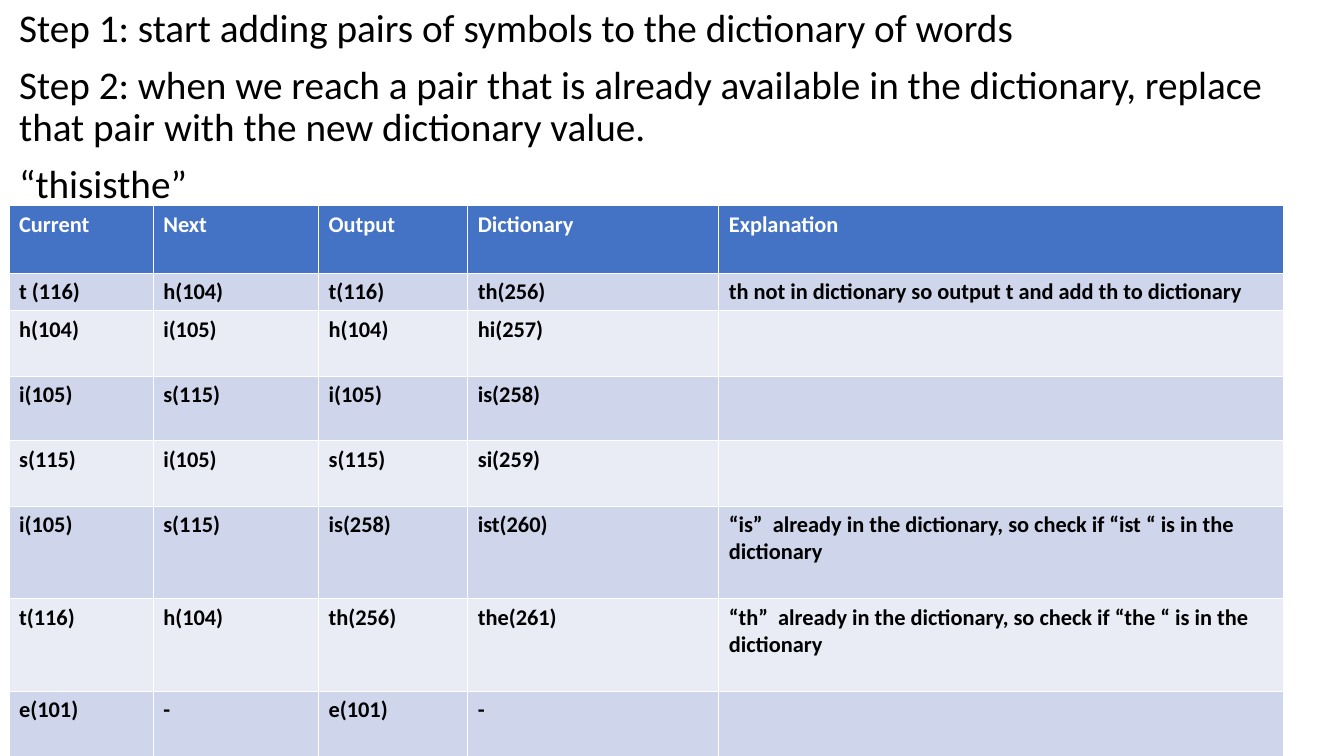
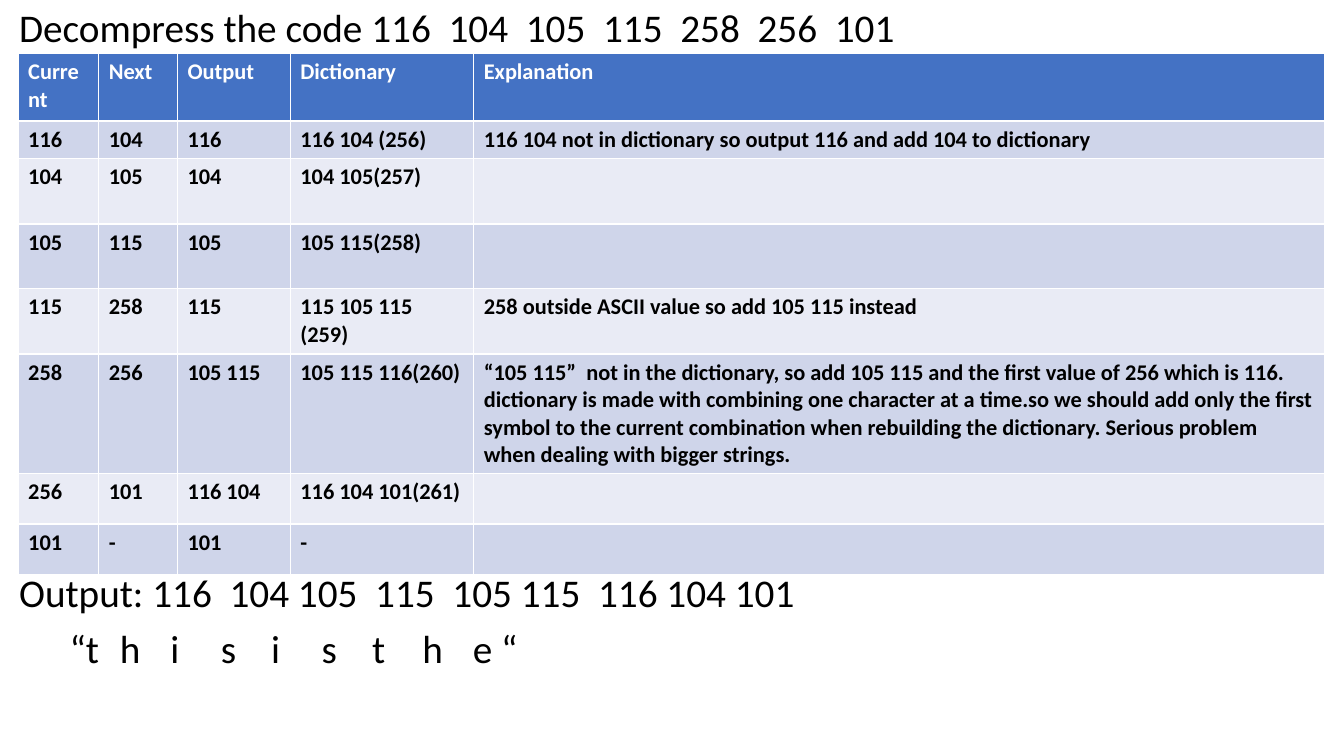
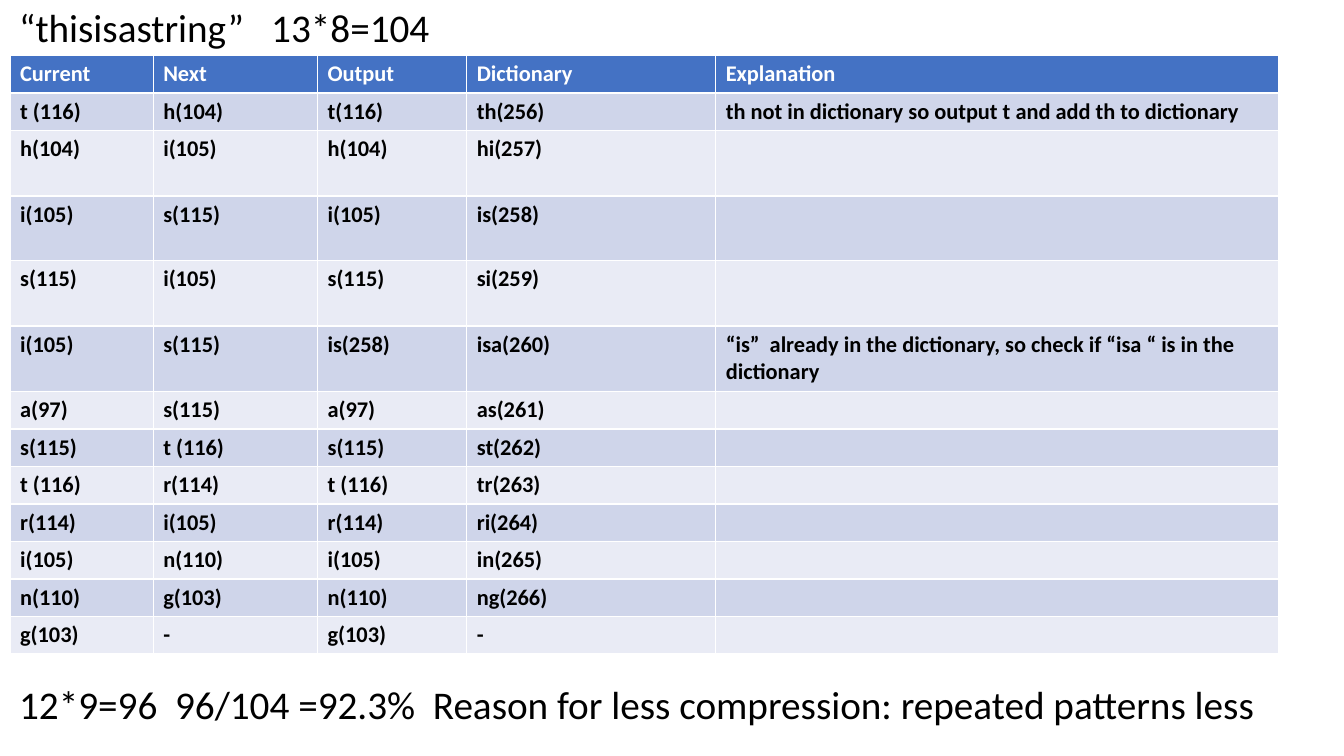
from lxml import etree
from pptx import Presentation
from pptx import util as u
from pptx.dml import color
from pptx.enum import text
from pptx.oxml import ns

INK, PAPER, BLUE = "000000", "FFFFFF", "4472C4"
BANDS = ("CFD5EA", "E9EBF5")
FONT = {"name": "Calibri", "bold": False}
BODY = {**FONT, "size": u.Pt(28)}
CELL = {**FONT, "size": u.Pt(16), "bold": True}
FRAME = {"left": 0.09, "top": 0.04, "width": 13.15, "height": 7.26}
GAP = 10

HEAD = "Current|Next|Output|Dictionary|Explanation"
START = [
    "t (116)|h(104)|t(116)|th(256)|th not in dictionary so output t and add th to dictionary",
    "h(104)|i(105)|h(104)|hi(257)|",
    "i(105)|s(115)|i(105)|is(258)|",
    "s(115)|i(105)|s(115)|si(259)|",
]
THE = START + [
    "i(105)|s(115)|is(258)|ist(260)|“is”  already in the dictionary, so check if “ist “ is in the dictionary",
    "t(116)|h(104)|th(256)|the(261)|“th”  already in the dictionary, so check if “the “ is in the dictionary",
    "e(101)|-|e(101)|-|",
]
CODES = [
    "116|104|116|116 104 (256)|116 104 not in dictionary so output 116 and add 104 to dictionary",
    "104|105|104|104 105(257)|",
    "105|115|105|105 115(258)|",
    "115|258|115|115 105 115 (259)|258 outside ASCII value so add 105 115 instead",
    "258|256|105 115|105 115 116(260)|“105 115”  not in the dictionary, so add 105 115 and the "
    "first value of 256 which is 116. dictionary is made with combining one character at a time.so "
    "we should add only the first symbol to the current combination when rebuilding the dictionary. "
    "Serious problem when dealing with bigger strings.",
    "256|101|116 104|116 104 101(261)|",
    "101|-|101|-|",
]
STRING = START + [
    "i(105)|s(115)|is(258)|isa(260)|“is”  already in the dictionary, so check if “isa “ is in the dictionary",
    "a(97)|s(115)|a(97)|as(261)|",
    "s(115)|t (116)|s(115)|st(262)|",
    "t (116)|r(114)|t (116)|tr(263)|",
    "r(114)|i(105)|r(114)|ri(264)|",
    "i(105)|n(110)|i(105)|in(265)|",
    "n(110)|g(103)|n(110)|ng(266)|",
    "g(103)|-|g(103)|-|",
]

SLIDES = [
    {
        "lines": [
            ("Step 1: start adding pairs of symbols to the dictionary of words", GAP, ()),
            ("Step 2: when we reach a pair that is already available in the dictionary, "
             "replace that pair with the new dictionary value.", GAP, ()),
            ("“thisisthe”", GAP, ()),
        ],
        "spot": (0.09, 2.04),
        "cols": (1.43, 1.64, 1.48, 2.49, 5.6),
        "tall": (0.67, 0.37, 0.65, 0.64, 0.65, 0.92, 0.92, 0.65),
        "rows": THE,
    },
    {
        "lines": [
            ("Decompress the code 116  104  105  115  258  256  101", GAP, ()),
            ("Output: 116  104 105  115  105 115  116 104 101", 373, ()),
            ("\t“t\th\ti\ts\ti\ts\tt\th\te “", GAP,
             (1.52, 2.41, 3, 3.8, 4.44, 5.15, 6, 6.66, 7.3)),
        ],
        "spot": (0.18, 0.53),
        "cols": (0.8, 0.78, 1.12, 1.82, 8.44),
        "tall": (0.67, 0.37, 0.65, 0.64, 0.65, 1.18, 0.5, 0.5),
        "rows": CODES,
    },
    {
        "lines": [
            ("“thisisastring”\t13*8=104", GAP, (2.68,)),
            ("12*9=96  96/104 =92.3%  Reason for less compression: repeated patterns less", 453, ()),
        ],
        "spot": (0.1, 0.55),
        "cols": (1.42, 1.63, 1.48, 2.47, 5.58),
        "tall": (0.37, 0.37, 0.65, 0.64, 0.65, 0.65) + (0.37,) * 7,
        "rows": STRING,
    },
]


def hue(code):
    return color.RGBColor.from_string(code)


def apply(item, style):
    for key, value in style.items():
        setattr(item, key, value)


def write(para, words, style, tint):
    run = para.add_run()
    run.text = words
    apply(run.font, style)
    run.font.color.rgb = hue(tint)


def plain(para, tabs):
    props = para._p.get_or_add_pPr()
    props.set("marL", "0")
    props.set("indent", "0")
    etree.SubElement(props, ns.qn("a:buNone"))
    if tabs:
        stops = etree.SubElement(props, ns.qn("a:tabLst"))
        for stop in tabs:
            etree.SubElement(stops, ns.qn("a:tab"), pos=str(u.Inches(stop)), algn="l")


def add_body(slide, lines):
    title = slide.shapes.title
    title.element.getparent().remove(title.element)
    body = slide.placeholders[1]
    apply(body, {key: u.Inches(size) for key, size in FRAME.items()})
    frame = body.text_frame
    apply(frame, {"word_wrap": True, "auto_size": text.MSO_AUTO_SIZE.NONE,
                  "vertical_anchor": text.MSO_ANCHOR.TOP})
    for i, (words, gap, tabs) in enumerate(lines):
        para = frame.add_paragraph() if i else frame.paragraphs[0]
        apply(para, {"line_spacing": 0.9, "space_before": u.Pt(gap), "space_after": u.Pt(0)})
        plain(para, tabs)
        write(para, words, BODY, INK)


def fill_cell(cell, words, fill, tint):
    cell.fill.solid()
    cell.fill.fore_color.rgb = hue(fill)
    para = cell.text_frame.paragraphs[0]
    if words:
        write(para, words, CELL, tint)
    else:
        etree.SubElement(para._p, ns.qn("a:endParaRPr"), sz="1600")


def add_grid(slide, spot, cols, tall, rows):
    size = (len(tall), len(cols))
    place = [u.Inches(x) for x in (*spot, sum(cols), sum(tall))]
    table = slide.shapes.add_table(*size, *place).table
    for col, width in zip(table.columns, cols):
        col.width = u.Inches(width)
    for r, (high, row) in enumerate(zip(tall, [HEAD] + rows)):
        table.rows[r].height = u.Inches(high)
        fill, tint = (BANDS[(r - 1) % 2], INK) if r else (BLUE, PAPER)
        for c, words in enumerate(row.split("|")):
            fill_cell(table.cell(r, c), words, fill, tint)


def main():
    deck = Presentation()
    apply(deck, {"slide_width": u.Inches(13.33), "slide_height": u.Inches(7.5)})
    for page in SLIDES:
        slide = deck.slides.add_slide(deck.slide_layouts[1])
        add_body(slide, page["lines"])
        add_grid(slide, page["spot"], page["cols"], page["tall"], page["rows"])
    deck.save("out.pptx")


if __name__ == "__main__":
    main()
